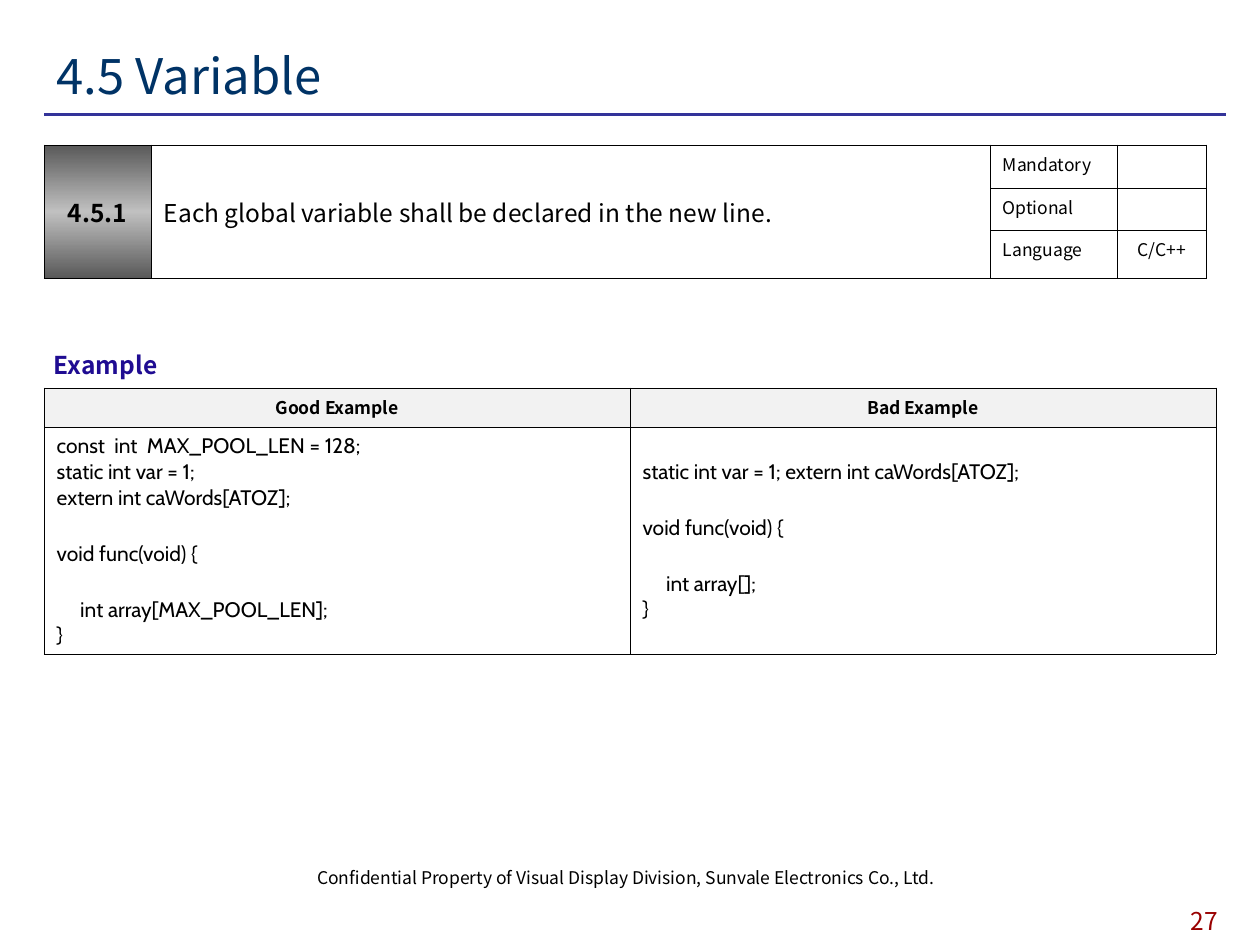
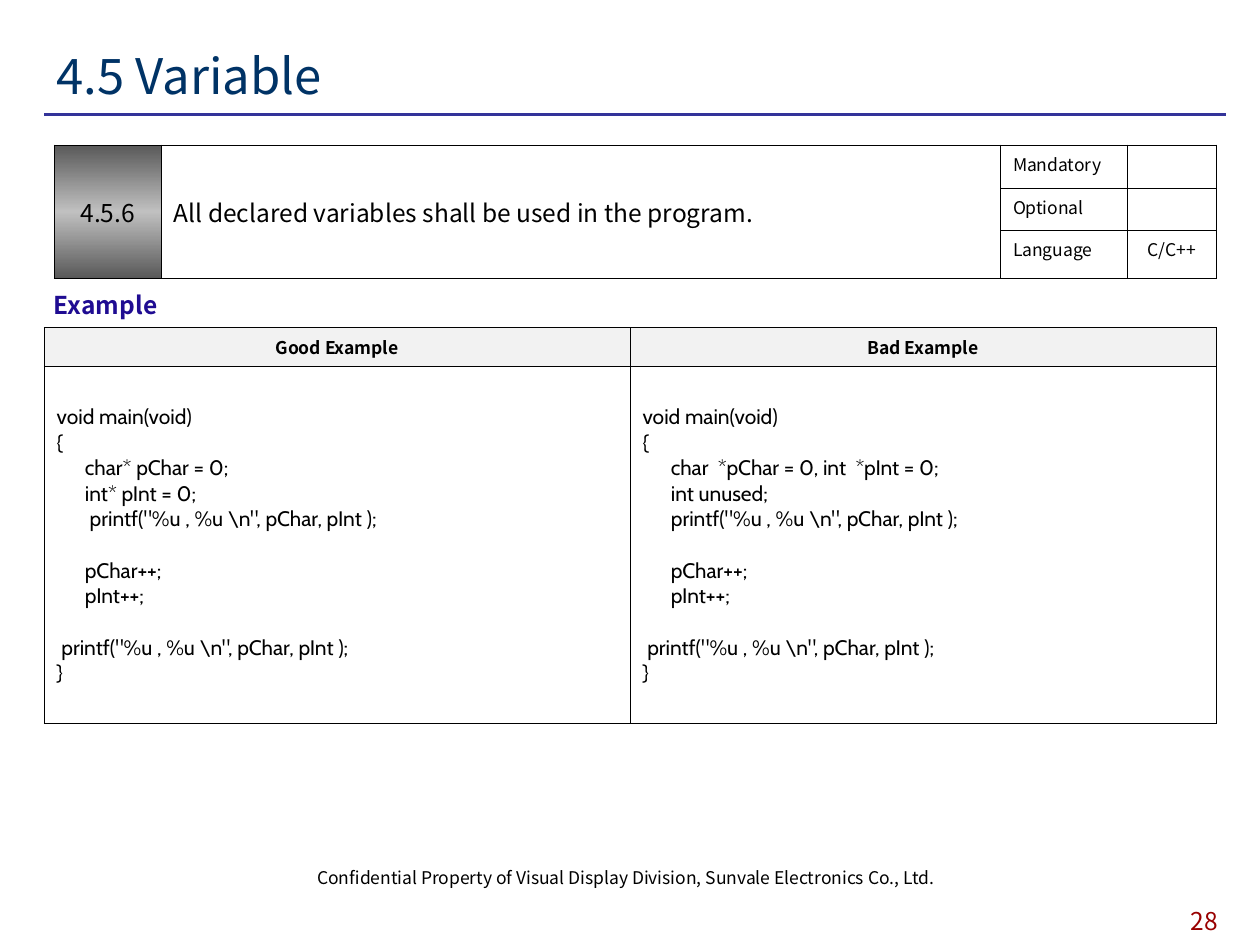
from lxml.etree import SubElement
from pptx import Presentation
from pptx.dml.color import RGBColor
from pptx.enum.shapes import MSO_CONNECTOR as Connector
from pptx.enum.text import MSO_ANCHOR as Anchor, MSO_AUTO_SIZE as AutoSize, PP_ALIGN as Align
from pptx.oxml import parse_xml
from pptx.oxml.ns import nsdecls, qn
from pptx.util import Inches, Pt

SANS = "Noto Sans CJK KR"
CODE = "Cabin"
BLACK = "000000"
TITLE_BLUE = "003366"
RULE_BLUE = "333399"
EXAMPLE_BLUE = "1F0C92"
PAGE_RED = "990000"
HEADER_GRAY = "F2F2F2"
SHEEN = [(0, "595959"), (50, "C0C0C0"), (100, "595959")]
FOOTER = "Confidential Property of Visual Display Division, Sunvale Electronics Co., Ltd."

RULE_COLUMNS = [0.85, 6.66, 1.01, 0.7]
RULE_ROWS = [0.34, 0.34, 0.38]
EXAMPLE_COLUMNS = [4.65, 4.65]
HEADER_HEIGHT = 0.31

GOOD_DECLARATIONS = """const  int  MAX_POOL_LEN = 128;
static int var = 1;
extern int caWords[ATOZ];

void func(void) {

     int array[MAX_POOL_LEN];
}"""

BAD_DECLARATIONS = """static int var = 1; extern int caWords[ATOZ];

void func(void) {

     int array[];
}"""

GOOD_USE = r"""void main(void)
{
      char* pChar = 0;
      int* pInt = 0;
       printf("%u , %u \n", pChar, pInt );

      pChar++;
      pInt++;

 printf("%u , %u \n", pChar, pInt );
}"""

BAD_USE = r"""void main(void)
{
      char  *pChar = 0, int  *pInt = 0;
      int unused;
      printf("%u , %u \n", pChar, pInt );

      pChar++;
      pInt++;

 printf("%u , %u \n", pChar, pInt );
}"""


def color(hex_code):
    return RGBColor.from_string(hex_code)


def write(paragraph, text, size, ink=BLACK, font=SANS, bold=False, align=Align.LEFT):
    paragraph.alignment = align
    run = paragraph.add_run()
    run.text = text
    run.font.size = Pt(size)
    run.font.name = font
    run.font.bold = bold
    run.font.color.rgb = color(ink)


def write_code(frame, code, gap):
    paragraph = frame.paragraphs[0]
    before = None
    for number, line in enumerate(code.split("\n")):
        if not line:
            before = Pt(gap)
            continue
        if number:
            paragraph = frame.add_paragraph()
        paragraph.space_before = before
        write(paragraph, line, 12, font=CODE)
        before = None


def add_label(slide, box, text, size, ink, **style):
    frame = slide.shapes.add_textbox(*map(Inches, box)).text_frame
    frame.word_wrap = True
    write(frame.paragraphs[0], text, size, ink, **style)


def set_border(cell, width):
    properties = cell._tc.get_or_add_tcPr()
    for side in ("lnL", "lnR", "lnT", "lnB"):
        edge = SubElement(properties, qn(f"a:{side}"), w=str(Pt(width)))
        fill = SubElement(edge, qn("a:solidFill"))
        SubElement(fill, qn("a:srgbClr"), val=BLACK)


def fill_sheen(cell):
    stops = "".join(
        f'<a:gs pos="{position * 1000}"><a:srgbClr val="{shade}"/></a:gs>'
        for position, shade in SHEEN
    )
    cell.fill.background()
    properties = cell._tc.tcPr
    properties.replace(
        properties.find(qn("a:noFill")),
        parse_xml(
            f'<a:gradFill {nsdecls("a")} rotWithShape="1"><a:gsLst>{stops}</a:gsLst>'
            '<a:lin ang="5400000" scaled="0"/></a:gradFill>'
        ),
    )


def add_grid(slide, left, top, columns, rows, border):
    table = slide.shapes.add_table(
        len(rows), len(columns), Inches(left), Inches(top),
        Inches(sum(columns)), Inches(sum(rows)),
    ).table
    table.first_row = table.horz_banding = False
    for column, width in zip(table.columns, columns):
        column.width = Inches(width)
    for row, height in zip(table.rows, rows):
        row.height = Inches(height)
    for cell in table.iter_cells():
        set_border(cell, border)
        cell.fill.background()
        SubElement(cell.text_frame.paragraphs[0]._p, qn("a:endParaRPr"), sz="1000")
    return table


def add_rule(slide, left, top, number, statement, bold):
    table = add_grid(slide, left, top, RULE_COLUMNS, RULE_ROWS, 0.23)
    for column, text, align, heavy in (
        (0, number, Align.CENTER, bold),
        (1, statement, Align.LEFT, False),
    ):
        cell = table.cell(0, column)
        cell.merge(table.cell(2, column))
        cell.vertical_anchor = Anchor.MIDDLE
        write(cell.text_frame.paragraphs[0], text, 14, bold=heavy, align=align)
    fill_sheen(table.cell(0, 0))
    for row, attribute in enumerate(("Mandatory", "Optional", "Language")):
        write(table.cell(row, 2).text_frame.paragraphs[0], attribute, 10)
    write(table.cell(2, 3).text_frame.paragraphs[0], "C/C++", 10, align=Align.CENTER)


def add_examples(slide, left, top, code_height, good, bad, gap):
    add_label(slide, (left - 0.02, top - 0.35, 1.5, 0.38), "Example", 14,
              EXAMPLE_BLUE, bold=True)
    table = add_grid(slide, left, top, EXAMPLE_COLUMNS, [HEADER_HEIGHT, code_height], 0.45)
    for column, (heading, code) in enumerate((("Good Example", good), ("Bad Example", bad))):
        header, body = table.cell(0, column), table.cell(1, column)
        header.fill.solid()
        header.fill.fore_color.rgb = color(HEADER_GRAY)
        write(header.text_frame.paragraphs[0], heading, 10, bold=True, align=Align.CENTER)
        body.vertical_anchor = Anchor.MIDDLE
        write_code(body.text_frame, code, gap)


def add_page(deck, title, page):
    slide = deck.slides.add_slide(deck.slide_layouts[5])
    heading = slide.shapes.title
    heading.left, heading.top, heading.width, heading.height = map(
        Inches, (0.35, 0.28, 9.37, 0.63))
    heading.text_frame.auto_size = AutoSize.NONE
    heading.text_frame.vertical_anchor = Anchor.MIDDLE
    write(heading.text_frame.paragraphs[0], title, 28, TITLE_BLUE)
    underline = slide.shapes.add_connector(
        Connector.STRAIGHT, *map(Inches, (0.35, 0.91, 9.73, 0.91)))
    underline.line.color.rgb = color(RULE_BLUE)
    underline.line.width = Pt(2)
    SubElement(underline._element.spPr, qn("a:effectLst"))
    add_label(slide, (2.25, 6.83, 5.43, 0.5), FOOTER, 10, BLACK, align=Align.CENTER)
    add_label(slide, (9.12, 7.14, 0.88, 0.36), str(page), 14, PAGE_RED, align=Align.CENTER)
    return slide


def main():
    deck = Presentation()
    deck.slide_width, deck.slide_height = Inches(10), Inches(7.5)

    declaration = add_page(deck, "4.5 Variable", 27)
    add_rule(declaration, 0.35, 1.15, "4.5.1",
             "Each global variable shall be declared in the new line.", True)
    add_examples(declaration, 0.35, 3.08, 1.8, GOOD_DECLARATIONS, BAD_DECLARATIONS, 17.4)

    usage = add_page(deck, "4.5 Variable", 28)
    add_rule(usage, 0.43, 1.15, "4.5.6",
             "All declared variables shall be used in the program.", False)
    add_examples(usage, 0.35, 2.6, 2.83, GOOD_USE, BAD_USE, 14.6)

    deck.save("out.pptx")


if __name__ == "__main__":
    main()
